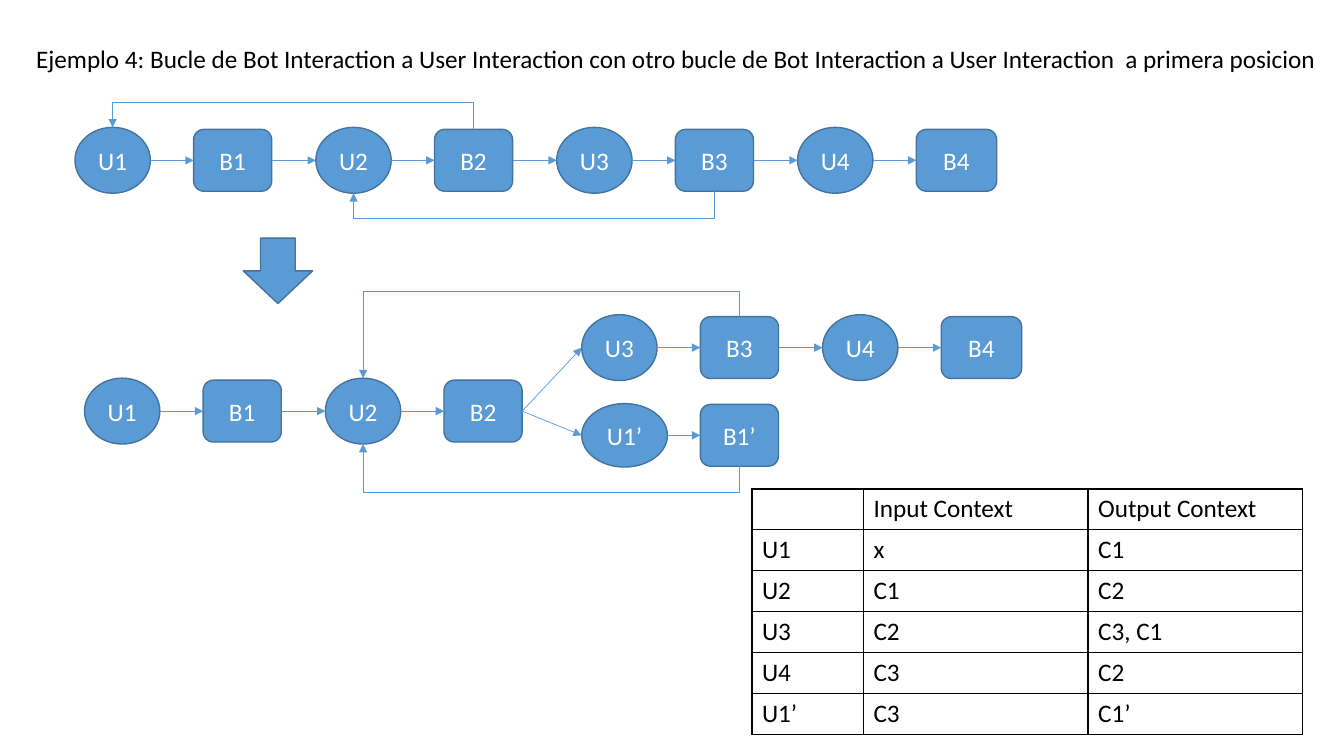
from lxml import etree
from pptx import Presentation, util as u
from pptx.dml.color import RGBColor
from pptx.enum import shapes, text
from pptx.oxml.ns import qn

BLUE, EDGE, BLACK, WHITE = "5B9BD5", "43739E", "000000", "FFFFFF"


def write(frame, words, colour):
    span = frame.paragraphs[0].add_run()
    span.text = words
    span.font.size = u.Pt(18)
    span.font.name = "Calibri"
    span.font.color.rgb = RGBColor.from_string(colour)


def connect(kind, x1, y1, x2, y2):
    arrow = page.shapes.add_connector(kind, int(x1), int(y1), int(x2), int(y2))
    arrow.line.color.rgb = RGBColor.from_string(BLUE)
    arrow.line.width = u.Pt(0.5)
    etree.SubElement(arrow.line._get_or_add_ln(), qn("a:tailEnd"), type="triangle")
    etree.SubElement(arrow._element.spPr, qn("a:effectLst"))
    return arrow


deck = Presentation()
deck.slide_width = u.Cm(33.87)
deck.slide_height = u.Cm(19.05)
page = deck.slides.add_slide(deck.slide_layouts[6])

title = page.shapes.add_textbox(u.Cm(0.66), u.Cm(0.97), u.Cm(33.45), u.Cm(1.02))
title.text_frame.word_wrap = False
title.text_frame.auto_size = text.MSO_AUTO_SIZE.SHAPE_TO_FIT_TEXT
write(
    title.text_frame,
    "Ejemplo 4: Bucle de Bot Interaction a User Interaction con otro bucle "
    "de Bot Interaction a User Interaction  a primera posicion",
    BLACK,
)

rows = [
    ["", "Input Context", "Output Context"],
    ["U1", "x", "C1"],
    ["U2", "C1", "C2"],
    ["U3", "C2", "C3, C1"],
    ["U4", "C3", "C2"],
    ["U1’", "C3", "C1’"],
]
contexts = page.shapes.add_table(
    len(rows), 3, u.Cm(18.95), u.Cm(12.32), u.Cm(13.88), u.Cm(6.18)
).table
contexts.first_row = False
contexts.horz_banding = False
for column, width in zip(contexts.columns, (2.81, 5.66, 5.41)):
    column.width = u.Cm(width)
for r, row in enumerate(rows):
    contexts.rows[r].height = u.Cm(1.03)
    for c, words in enumerate(row):
        cell = contexts.cell(r, c)
        cell.fill.background()
        if words:
            write(cell.text_frame, words, BLACK)
        properties = cell._tc.get_or_add_tcPr()
        for i, side in enumerate(("lnL", "lnR", "lnT", "lnB")):
            border = etree.Element(qn("a:" + side), w=str(u.Pt(1)))
            fill = etree.SubElement(border, qn("a:solidFill"))
            etree.SubElement(fill, qn("a:srgbClr"), val=BLACK)
            properties.insert(i, border)

ELLIPSE = shapes.MSO_SHAPE.OVAL
ROUNDED = shapes.MSO_SHAPE.ROUNDED_RECTANGLE
STRAIGHT = shapes.MSO_CONNECTOR.STRAIGHT
ELBOW = shapes.MSO_CONNECTOR.ELBOW
STEP_TO_BOT, STEP_TO_USER = 2.99, 3.08
SIZES = {"U": (1.9, 1.66), "B": (1.97, 1.56), "U1’": (2.16, 1.6), "B4": (2.03, 1.56)}

chains = [
    (1.89, 4.04, ["U1", "B1", "U2", "B2", "U3", "B3", "U4", "B4"]),
    (2.13, 10.36, ["U1", "B1", "U2", "B2"]),
    (14.66, 8.76, ["U3", "B3", "U4", "B4"]),
    (14.66, 10.97, ["U1’", "B1’"]),
]
boxes = [(shapes.MSO_SHAPE.DOWN_ARROW, 6.13, 6, 1.75, 1.65, "")]
for left, middle, labels in chains:
    for label in labels:
        is_user = label[0] == "U"
        width, height = SIZES.get(label, SIZES[label[0]])
        kind = ELLIPSE if is_user else ROUNDED
        boxes.append((kind, left, middle - height / 2, width, height, label))
        left += STEP_TO_BOT if is_user else STEP_TO_USER

nodes = []
for kind, left, top, width, height, label in boxes:
    box = page.shapes.add_shape(kind, u.Cm(left), u.Cm(top), u.Cm(width), u.Cm(height))
    box.shadow.inherit = False
    box.fill.solid()
    box.fill.fore_color.rgb = RGBColor.from_string(BLUE)
    box.line.color.rgb = RGBColor.from_string(EDGE)
    box.line.width = u.Pt(1)
    if label:
        box.text_frame.vertical_anchor = text.MSO_ANCHOR.MIDDLE
        box.text_frame.paragraphs[0].alignment = text.PP_ALIGN.CENTER
        write(box.text_frame, label, WHITE)
        nodes.append(box)

before, loop, upper, lower = nodes[:8], nodes[8:12], nodes[12:16], nodes[16:]
links = [(loop[3], upper[0]), (loop[3], lower[0])]
for chain in (before, loop, upper, lower):
    links += zip(chain, chain[1:])
for source, target in links:
    connect(
        STRAIGHT,
        source.left + source.width,
        source.top + source.height / 2,
        target.left,
        target.top + target.height / 2,
    )

returns = [
    (before[5], before[2], 1, 5.51),
    (before[3], before[0], 0, 2.59),
    (upper[1], loop[2], 0, 7.34),
    (lower[1], loop[2], 1, 12.4),
]
for source, target, edge, lane in returns:
    x1, x2 = (node.left + node.width / 2 for node in (source, target))
    y1, y2 = (node.top + node.height * edge for node in (source, target))
    x, y = (x1 + x2) / 2, (y1 + y2) / 2
    across, down = (x1 - x2) / 2, (y2 - y1) / 2
    arrow = connect(ELBOW, x - down, y - across, x + down, y + across)
    arrow._element.spPr.find(qn("a:xfrm")).set("rot", "5400000")
    guides = arrow._element.spPr.find(qn("a:prstGeom")).get_or_add_avLst()
    bend = round((u.Cm(lane) - y1) / (y2 - y1) * 100000)
    etree.SubElement(guides, qn("a:gd"), name="adj1", fmla=f"val {bend}")

deck.save("out.pptx")
